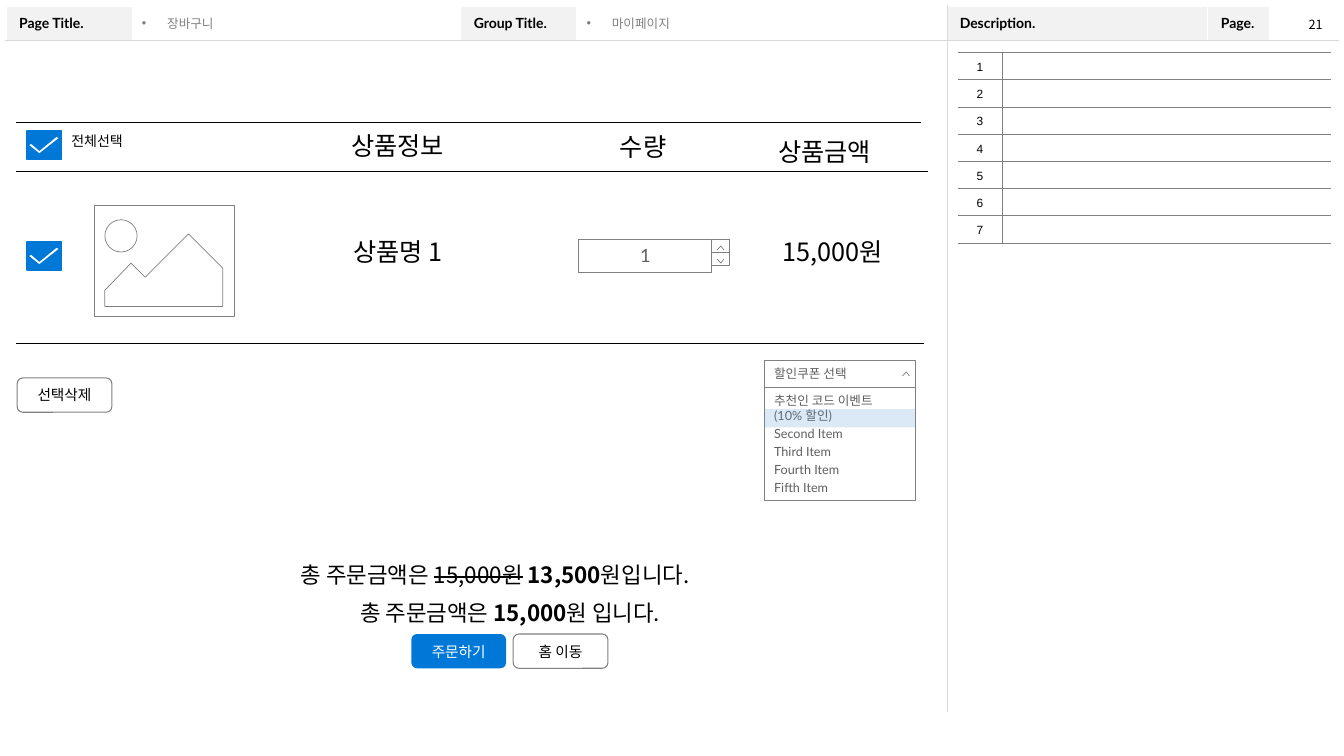
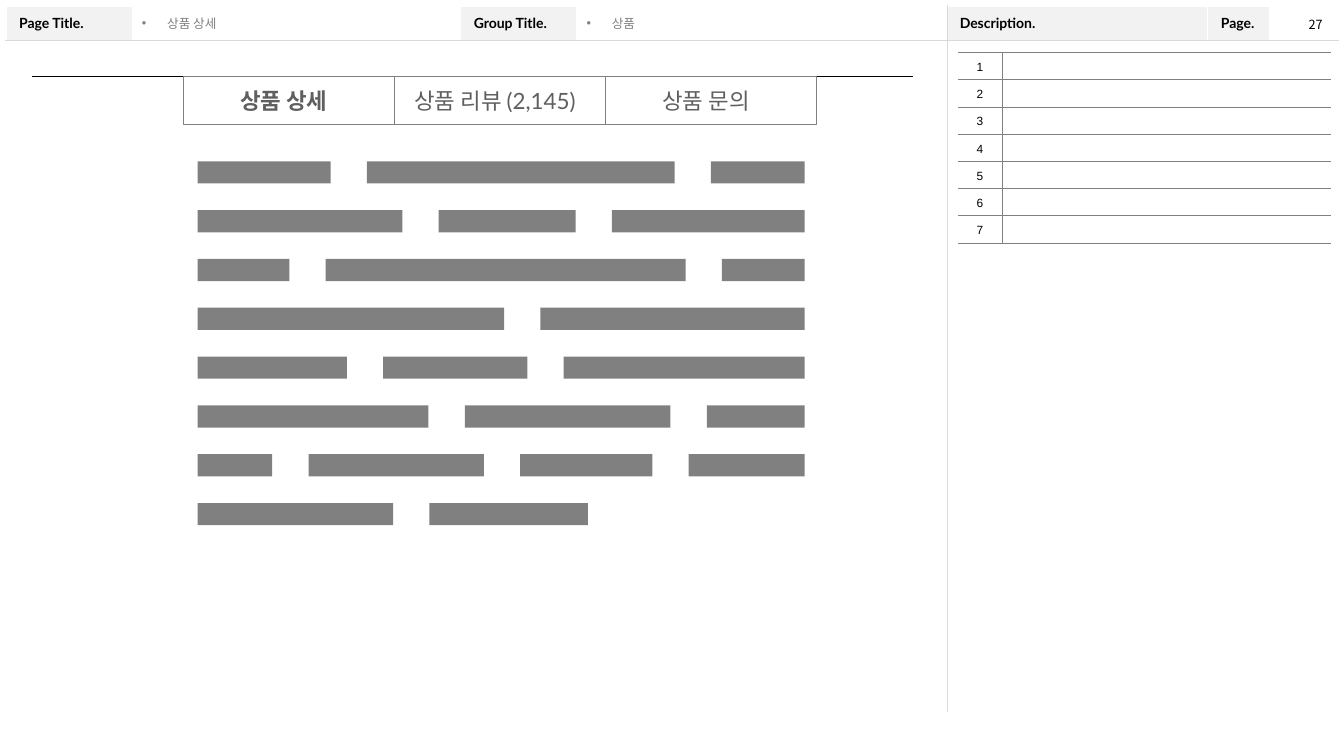
import pptx
import pptx.dml.color
import pptx.enum.shapes
import pptx.enum.text
import pptx.oxml.ns
import pptx.util
from lxml import etree

Inches, Pt = pptx.util.Inches, pptx.util.Pt
SHAPE = pptx.enum.shapes.MSO_SHAPE
ALIGN = pptx.enum.text.PP_ALIGN
ANCHOR = pptx.enum.text.MSO_ANCHOR
qn = pptx.oxml.ns.qn

BLACK, WHITE, GRAY, TEXT_GRAY = "000000", "FFFFFF", "808080", "5F5F5F"
BAND, RULE, BLUE, HIGHLIGHT = "F2F2F2", "D9D9D9", "0078D7", "5B9BD5"
KOREAN, LATIN, PLAIN = "Noto Sans CJK KR", "Lato", "Arial"


# Shared helpers
def color(hex_text):
    return pptx.dml.color.RGBColor.from_string(hex_text)


def set_font(p, size, name, hex_text=BLACK, bold=False):
    font = p.font
    font.size, font.name, font.bold = Pt(size), name, bold
    font.color.rgb = color(hex_text)
    etree.SubElement(p._p.pPr.find(qn("a:defRPr")), qn("a:ea"), typeface=KOREAN)


def set_insets(tf, left, top, right, bottom):
    tf.margin_left, tf.margin_top = Inches(left), Inches(top)
    tf.margin_right, tf.margin_bottom = Inches(right), Inches(bottom)


def style(sp, fill=None, line=None, width=0.5):
    sp.shadow.inherit = False
    if fill:
        sp.fill.solid()
        sp.fill.fore_color.rgb = color(fill)
    else:
        sp.fill.background()
    if line:
        sp.line.color.rgb = color(line)
        sp.line.width = Pt(width)
    else:
        sp.line.fill.background()
    return sp


def add_box(s, x, y, w, h, fill=None, line=None, width=0.5, shape=SHAPE.RECTANGLE):
    sp = s.shapes.add_shape(shape, Inches(x), Inches(y), Inches(w), Inches(h))
    return style(sp, fill, line, width)


def add_outline(s, contours, fill=None, line=None, close=True):
    builder = None
    for contour in contours:
        points = [(Inches(x), Inches(y)) for x, y in contour]
        if builder is None:
            builder = s.shapes.build_freeform(*points[0])
        else:
            builder.move_to(*points[0])
        builder.add_line_segments(points[1:], close=close)
    return style(builder.convert_to_shape(), fill, line)


def add_rule(s, x1, x2, y):
    cn = s.shapes.add_connector(pptx.enum.shapes.MSO_CONNECTOR.STRAIGHT,
                                Inches(x1), Inches(y), Inches(x2), Inches(y))
    cn.line.color.rgb = color(BLACK)
    cn.line.width = Pt(0.5)
    etree.SubElement(cn._element.spPr, qn("a:effectLst"))


def add_text(s, x, y, w, h, runs, size, name=KOREAN, hex_text=BLACK,
             align=ALIGN.LEFT, wrap=True):
    """runs is a string, or a list of (text, mark); mark is "", "b" or "strike"."""
    tb = s.shapes.add_textbox(Inches(x), Inches(y), Inches(w), Inches(h))
    tf = tb.text_frame
    tf.word_wrap = wrap
    p = tf.paragraphs[0]
    p.alignment = align
    set_font(p, size, name, hex_text)
    for text, mark in [(runs, "")] if isinstance(runs, str) else runs:
        r = p.add_run()
        r.text = text
        if mark == "b":
            r.font.bold = True
        elif mark == "strike":
            r._r.get_or_add_rPr().set("strike", "sngStrike")
    return tb


def fill_box(sp, lines, size, hex_text, insets, align=ALIGN.CENTER,
             anchor=ANCHOR.MIDDLE, bold=False, wrap=True, after=0):
    tf = sp.text_frame
    tf.word_wrap, tf.vertical_anchor = wrap, anchor
    set_insets(tf, *insets)
    for i, text in enumerate(lines):
        p = tf.add_paragraph() if i else tf.paragraphs[0]
        p.alignment, p.space_after = align, Pt(after)
        set_font(p, size, LATIN, hex_text, bold)
        p.add_run().text = text


def set_borders(cell, **sides):
    tcPr = cell._tc.get_or_add_tcPr()
    for side in "LRTB":
        hex_text, width = sides.get(side, (None, 0))
        ln = etree.SubElement(tcPr, qn("a:ln" + side), w=str(Pt(width)))
        if hex_text:
            fill = etree.SubElement(ln, qn("a:solidFill"))
            etree.SubElement(fill, qn("a:srgbClr"), val=hex_text)
        else:
            etree.SubElement(ln, qn("a:noFill"))


def add_grid(s, x, y, col_widths, row_heights):
    w, h = sum(col_widths), sum(row_heights)
    table = s.shapes.add_table(len(row_heights), len(col_widths), Inches(x),
                               Inches(y), Inches(w), Inches(h)).table
    table.first_row = table.horz_banding = False
    for column, width in zip(table.columns, col_widths):
        column.width = Inches(width)
    for row, height in zip(table.rows, row_heights):
        row.height = Inches(height)
    return table


def write_cell(cell, text, size, name, bold=False):
    cell.vertical_anchor = ANCHOR.MIDDLE
    p = cell.text_frame.paragraphs[0]
    set_font(p, size, name, BLACK, bold)
    if text:
        p.add_run().text = text
    else:
        p._p.get_or_add_endParaRPr().set("sz", str(int(size * 100)))
    return p


# Page frame shared by all slides
def add_frame(s, x=0.06, y=0.06):
    table = add_grid(s, x, y, [1.26, 3.25, 1.15, 3.67, 2.59, 0.61, 0.69], [0.34, 6.67])
    labels = {0: "Page Title.", 2: "Group Title.", 4: "Description.", 5: "Page."}
    white, rule = (WHITE, 1), (RULE, 0.25)
    for r in range(2):
        for c in range(7):
            cell = table.cell(r, c)
            label = labels.get(c) if r == 0 else None
            set_insets(cell, 0.13, 0.07, 0.13, 0.07)
            set_borders(cell, L=rule if c == 4 else white,
                        R=rule if c == 3 or (r, c) == (1, 0) else white,
                        T=rule if r else white, B=white if r else rule)
            write_cell(cell, label, 10, LATIN, bold=True)
            if label:
                cell.fill.solid()
                cell.fill.fore_color.rgb = color(BAND)
            else:
                cell.fill.background()
    table.cell(1, 0).merge(table.cell(1, 3))
    table.cell(1, 4).merge(table.cell(1, 6))


def add_bullet_title(s, x, w, text):
    tb = add_text(s, x, 0.11, w, 0.24, text, 9, PLAIN, GRAY)
    tb.text_frame.vertical_anchor = ANCHOR.MIDDLE
    pPr = tb.text_frame.paragraphs[0]._p.pPr
    pPr.set("marL", str(Inches(0.25)))
    pPr.set("indent", str(-Inches(0.25)))
    run_defaults = pPr.find(qn("a:defRPr"))
    run_defaults.addprevious(etree.Element(qn("a:buFont"), typeface=PLAIN))
    run_defaults.addprevious(etree.Element(qn("a:buChar"), char="•"))


def add_description(s, x=9.5, y=0.52, count=7):
    table = add_grid(s, x, y, [0.44, 3.26], [0.27] * count)
    line = (GRAY, 0.25)
    for i in range(count):
        number, note = table.cell(i, 0), table.cell(i, 1)
        set_borders(number, T=line, B=line, R=line)
        set_borders(note, T=line, B=line, L=line)
        for cell, text in ((number, str(i + 1)), (note, None)):
            set_insets(cell, 0.1, 0.03, 0.1, 0.03)
            p = write_cell(cell, text, 8.5, PLAIN)
            p.alignment, p.line_spacing = ALIGN.CENTER, 1.2
            cell.fill.background()


def new_page(prs, page_title, group_title, number):
    s = prs.slides.add_slide(prs.slide_layouts[6])
    add_frame(s)
    add_bullet_title(s, 1.31, 3.24, page_title)
    add_bullet_title(s, 5.72, 3.64, group_title)
    add_description(s)
    add_text(s, 12.88, 0.12, 0.34, 0.25, number, 9, wrap=False)
    return s


# Wireframe controls
def add_checkbox(s, x, y):
    add_box(s, x, y, 0.34, 0.28, BLUE, BLUE, 1)
    tick = [(0.29, 0.06), (0.31, 0.07), (0.12, 0.22), (0.02, 0.14),
            (0.04, 0.13), (0.12, 0.2)]
    add_outline(s, [[(x + dx, y + dy) for dx, dy in tick]], WHITE)


def add_button(s, x, y, label, primary=False):
    sp = add_box(s, x, y, 0.94, 0.34, BLUE if primary else None,
                 None if primary else GRAY, 0.75, SHAPE.ROUNDED_RECTANGLE)
    sp.adjustments[0] = 0.167
    fill_box(sp, [label], 10.5, WHITE if primary else BLACK,
             (0.1, 0.05, 0.1, 0.05), wrap=False)


def add_chevron(s, x, y, up=True):
    ends, tip = (0.04, 0) if up else (0, 0.04)
    add_outline(s, [[(x, y + ends), (x + 0.04, y + tip), (x + 0.07, y + ends)]],
                line=GRAY, close=False)


def add_image_frame(s, x, y):
    add_box(s, x, y, 1.38, 1.1, WHITE, GRAY)
    hills = [(0.1, 0.84), (0.36, 0.57), (0.5, 0.71), (0.93, 0.28),
             (1.27, 0.62), (1.27, 1), (0.1, 1)]
    add_outline(s, [[(x + dx, y + dy) for dx, dy in hills]], WHITE, GRAY)
    add_box(s, x + 0.1, y + 0.14, 0.32, 0.32, WHITE, GRAY, shape=SHAPE.OVAL)


def add_spinner(s, x, y, value):
    for i, up in enumerate((True, False)):
        top = y + 0.13 * i
        add_box(s, x + 1.31, top, 0.18, 0.13, WHITE, GRAY)
        add_chevron(s, x + 1.37, top + 0.07, up)
    field = add_box(s, x, y, 1.32, 0.33, WHITE, GRAY)
    fill_box(field, [value], 13, TEXT_GRAY, (0.1, 0.06, 0.1, 0.06))


def add_dropdown(s, x, y, label, items):
    head = add_box(s, x, y, 1.5, 0.26, WHITE, GRAY)
    fill_box(head, [label], 9, TEXT_GRAY, (0.1, 0.06, 0.28, 0.06), ALIGN.LEFT)
    add_chevron(s, x + 1.37, y + 0.11)
    body = add_box(s, x, y + 0.26, 1.5, 1.12, WHITE, GRAY)
    fill_box(body, items, 9, TEXT_GRAY, (0.1, 0.06, 0.2, 0.06), ALIGN.LEFT,
             ANCHOR.TOP, after=2)
    mark = add_box(s, x, y + 0.48, 1.5, 0.18, HIGHLIGHT)
    clr = mark._element.spPr.find(qn("a:solidFill"))[0]
    etree.SubElement(clr, qn("a:alpha"), val="22000")


def add_tabs(s, x, y, labels, total=6.28, h=0.47):
    w = total / len(labels)
    for i, label in enumerate(labels):
        sp = add_box(s, x + i * w, y, w, h, line=GRAY)
        fill_box(sp, [label], 16, TEXT_GRAY, (0.1, 0.05, 0.2, 0.05), bold=i == 0)


def add_text_bars(s, x, y, rows, pitch, gap=0.36, h=0.22):
    for i, widths in enumerate(rows):
        left, top, bars = x, y + i * pitch, []
        for w in widths:
            bars.append([(left, top), (left, top + h), (left + w, top + h),
                         (left + w, top)])
            left += w + gap
        add_outline(s, bars, GRAY)


# Slides
def cart_slide(prs):
    s = new_page(prs, "장바구니", "마이페이지", "21")
    # Cart header and item row
    for right, y in ((9.13, 1.21), (9.2, 1.7), (9.16, 3.41)):
        add_rule(s, 0.16, right, y)
    for y in (1.3, 2.4):
        add_checkbox(s, 0.27, y)
    add_text(s, 0.61, 1.27, 1.51, 0.26, "전체선택", 10)
    add_text(s, 3.19, 1.24, 1.51, 0.4, "상품정보", 18, align=ALIGN.CENTER)
    add_text(s, 6.05, 1.25, 1.51, 0.4, "수량", 18)
    add_text(s, 7.62, 1.3, 1.51, 0.4, "상품금액", 18)
    add_image_frame(s, 0.94, 2.04)
    add_text(s, 2.49, 2.3, 2.91, 0.4, "상품명 1", 18, align=ALIGN.CENTER)
    add_spinner(s, 5.74, 2.37, "1")
    add_text(s, 7.66, 2.3, 1.22, 0.4, "15,000원", 18)
    # Coupon and totals
    add_button(s, 0.17, 3.75, "선택삭제")
    add_dropdown(s, 7.58, 3.58, "할인쿠폰 선택",
                 ["추천인 코드 이벤트(10% 할인)", "Second Item", "Third Item",
                  "Fourth Item", "Fifth Item"])
    add_text(s, 2.71, 5.52, 4.4, 0.37,
             [("총 주문금액은 ", ""), ("15,000원", "strike"), (" ", ""),
              ("13,500", "b"), ("원입니다.", "")], 16, align=ALIGN.CENTER)
    add_text(s, 3.15, 5.89, 3.82, 0.37,
             [("총 주문금액은 ", ""), ("15,000", "b"), ("원 입니다.", "")],
             16, align=ALIGN.CENTER)
    add_button(s, 4.08, 6.29, "주문하기", primary=True)
    add_button(s, 5.09, 6.29, "홈 이동")


def product_slide(prs):
    s = new_page(prs, "상품 상세", "상품", "27")
    add_rule(s, 0.32, 9.06, 0.76)
    add_tabs(s, 1.82, 0.76, ["상품 상세", "상품 리뷰 (2,145)", "상품 문의"])
    add_text_bars(s, 1.96, 1.6, [
        (1.32, 3.05, 0.93), (2.03, 1.36, 1.91), (0.91, 3.57, 0.82), (3.04, 2.62),
        (1.48, 1.43, 2.39), (2.29, 2.04, 0.97), (0.74, 1.74, 1.31, 1.15),
        (1.94, 1.57)], pitch=3.39 / 7)


def main():
    prs = pptx.Presentation()
    prs.slide_width, prs.slide_height = Inches(13.33), Inches(7.5)
    cart_slide(prs)
    product_slide(prs)
    prs.save("out.pptx")


if __name__ == "__main__":
    main()
